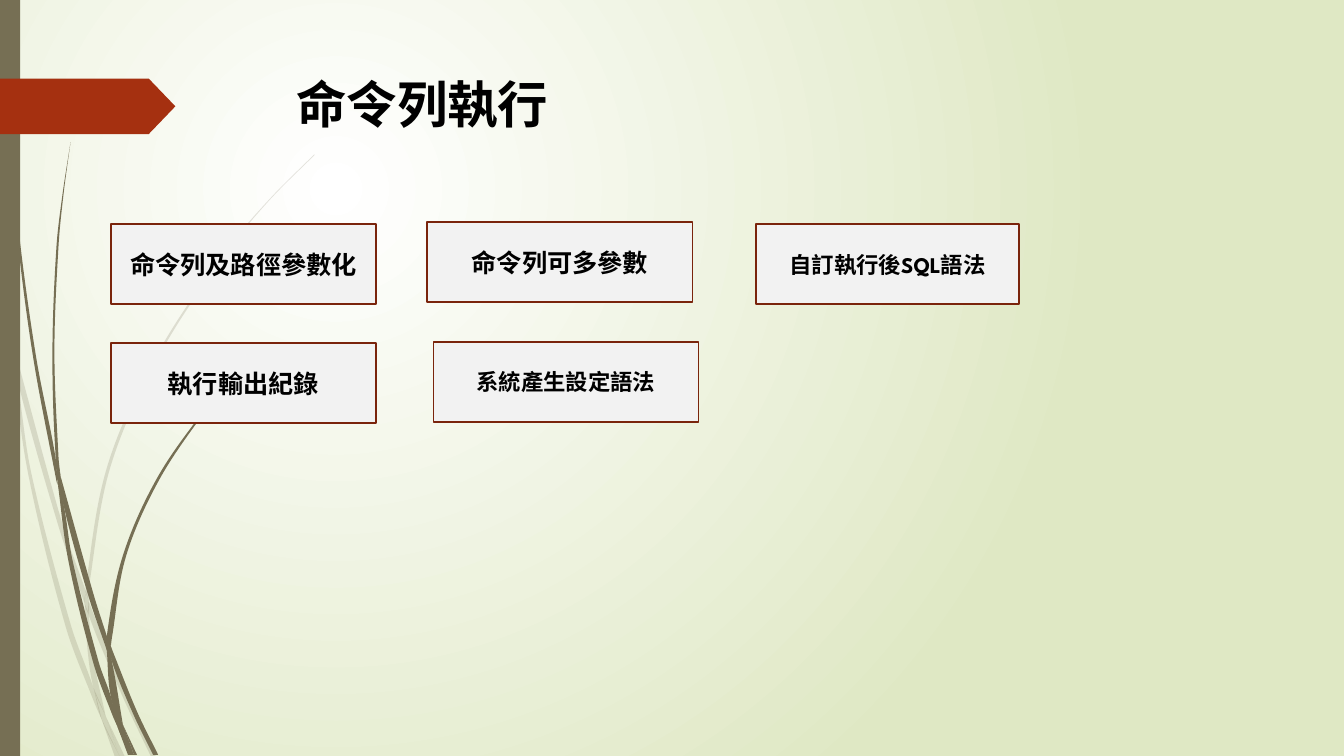
from dataclasses import dataclass
from math import dist
from pptx import Presentation
from pptx.dml.color import RGBColor
from pptx.enum.shapes import MSO_SHAPE
from pptx.enum.text import MSO_ANCHOR, MSO_AUTO_SIZE, PP_ALIGN
from pptx.oxml import parse_xml
from pptx.oxml.ns import nsdecls, qn
from pptx.shapes.autoshape import Shape
from pptx.slide import Slide
from pptx.text.text import TextFrame
from pptx.util import Emu, Inches, Pt

Point = tuple[float, float]
Blade = tuple[list[Point], list[Point]]
COLS, ROWS = 40 / 3, 7.5
CELL = Inches(1)


@dataclass(frozen=True)
class Theme:
    """Colours, font and type sizes of the slide."""
    ink: str = "000000"
    glow: str = "FFFFFF"
    meadow: str = "DFE8C4"
    stem: str = "766F54"
    rust: str = "A53010"
    card: str = "F2F2F2"
    border: str = "7A240C"
    font: str = "League Spartan"
    title: float = 36
    large: float = 18
    small: float = 16


@dataclass(frozen=True)
class Card:
    """A labelled box placed in grid columns and rows."""
    text: str
    col: float
    row: float
    size: float
    width: float = 2.63
    height: float = 0.8


THEME = Theme()
CARDS = [
    Card("命令列及路徑參數化", 1.1, 2.22, THEME.large),
    Card("執行輸出紀錄", 1.1, 3.4, THEME.large),
    Card("命令列可多參數", 4.24, 2.2, THEME.large),
    Card("系統產生設定語法", 4.3, 3.39, THEME.small),
    Card("自訂執行後SQL語法", 7.5, 2.22, THEME.small, width=2.61),
]
PALE_BLADES: list[Blade] = [
    ([(0, 2.99), (0.1, 3.44), (0.11, 3.5)], [(0, 2.82), (0.09, 3.22), (0.11, 3.5)]),
    ([(0.14, 3.45), (0.17, 3.76), (0.58, 5.22), (0.84, 5.99)],
     [(0.14, 3.45), (0.62, 5.2), (0.85, 5.86)]),
    ([(0.88, 5.96), (0.88, 6.1), (1.23, 6.94), (1.5, 7.51)],
     [(0.88, 5.96), (0.92, 6.07), (1.27, 6.92), (1.55, 7.51)]),
    ([(1.05, 7.11), (1.19, 7.51)], [(1.05, 7.11), (1.24, 7.51)]),
    ([(0.11, 3.5), (0.28, 4.7), (0.65, 6.21), (0.92, 6.93), (1.01, 7.14)],
     [(0.11, 3.5), (0.17, 3.76), (0.31, 4.69), (0.7, 6.19), (0.93, 6.83), (1.01, 7.14)]),
    ([(0.84, 5.99), (0.87, 6.46), (0.93, 6.83), (1.05, 7.11)],
     [(0.84, 5.99), (0.88, 6.1), (0.91, 6.46), (1.05, 7.11)]),
    ([(3.12, 1.53), (2.68, 1.97), (2.28, 2.44), (1.58, 3.48), (1.07, 4.61), (0.85, 5.84), (0.88, 5.96)],
     [(3.12, 1.54), (2.68, 1.98), (2.29, 2.45), (1.6, 3.49), (1.1, 4.62), (0.88, 5.84), (0.88, 5.96)]),
    ([(1.01, 7.14), (1.14, 7.51)], [(1.01, 7.14), (1.19, 7.51)]),
    ([(0.85, 5.86), (0.84, 5.99), (0.88, 6.1)], [(0.85, 5.86), (0.88, 5.96), (0.88, 6.1)]),
    ([(0.93, 6.83), (1.01, 7.14), (1.19, 7.51)], [(0.93, 6.83), (1.05, 7.11), (1.19, 7.51)]),
]
DARK_BLADES: list[Blade] = [
    ([(0.03, 0), (0.07, 1.1), (0.17, 2.33), (0.33, 3.55), (0.56, 4.77), (0.57, 4.81)],
     [(0.04, 0), (0.08, 1.09), (0.19, 2.32), (0.36, 3.55), (0.55, 4.53), (0.57, 4.81)]),
    ([(0.6, 4.72), (0.64, 5.05), (0.88, 5.92), (1.06, 6.45)],
     [(0.6, 4.72), (0.93, 5.9), (1.06, 6.31)]),
    ([(1.1, 6.41), (1.11, 6.56), (1.32, 7.08), (1.52, 7.49)],
     [(1.1, 6.41), (1.13, 6.49), (1.36, 7.06), (1.57, 7.49)]),
    ([(0.57, 4.77), (0.68, 5.57), (0.93, 6.59), (1.11, 7.08), (1.17, 7.22)],
     [(0.57, 4.77), (0.64, 5.05), (0.72, 5.56), (0.98, 6.57), (1.1, 6.91), (1.17, 7.22)]),
    ([(0.7, 1.41), (0.62, 1.93), (0.56, 2.45), (0.52, 3.49), (0.55, 4.49), (0.6, 4.72)],
     [(0.7, 1.41), (0.63, 1.93), (0.58, 2.45), (0.54, 3.49), (0.58, 4.53), (0.6, 4.72)]),
    ([(1.22, 7.19), (1.33, 7.49)], [(1.22, 7.19), (1.36, 7.49)]),
    ([(0.55, 4.49), (0.57, 4.77), (0.64, 5.05)], [(0.55, 4.49), (0.6, 4.72), (0.64, 5.05)]),
    ([(2.6, 3.44), (2.31, 3.73), (2.04, 4.05), (1.56, 4.74), (1.22, 5.51), (1.06, 6.31), (1.1, 6.41)],
     [(2.61, 3.44), (2.31, 3.74), (2.05, 4.06), (1.58, 4.76), (1.25, 5.52), (1.11, 6.33), (1.1, 6.41)]),
    ([(1.17, 7.22), (1.27, 7.49)], [(1.17, 7.22), (1.31, 7.49)]),
    ([(1.06, 6.45), (1.1, 6.91), (1.22, 7.19)], [(1.06, 6.45), (1.11, 6.56), (1.22, 7.19)]),
    ([(1.06, 6.31), (1.06, 6.45), (1.11, 6.56)], [(1.06, 6.31), (1.1, 6.41), (1.11, 6.56)]),
    ([(1.1, 6.91), (1.17, 7.22), (1.3, 7.49)], [(1.1, 6.91), (1.22, 7.19), (1.33, 7.49)]),
]


def grid(cells: float) -> Emu:
    """Turn grid cells into a length."""
    return Emu(round(cells * CELL))


def toward(start: Point, a: Point, b: Point, length: float) -> Point:
    """Step from a start point along the direction from a to b."""
    step = length / (dist(a, b) or 1)
    return start[0] + (b[0] - a[0]) * step, start[1] + (b[1] - a[1]) * step


def curve(edge: list[Point]) -> list[Point]:
    """Give two handles and an end point for each smooth segment of an edge."""
    padded = [edge[0], *edge, edge[-1]]
    points = []
    for a, b, c, d in zip(padded, padded[1:], padded[2:], padded[3:]):
        reach = dist(b, c) / 3
        points += [toward(b, a, c, reach), toward(c, d, b, reach), c]
    return points


def paint(sp: Shape, color: str) -> None:
    """Give a shape a flat fill with no line or shadow."""
    sp.shadow.inherit = False
    sp.fill.solid()
    sp.fill.fore_color.rgb = RGBColor.from_string(color)
    sp.line.fill.background()


def add_block(s: Slide, kind: MSO_SHAPE, col: float, row: float,
              width: float, height: float, color: str) -> Shape:
    """Add a filled preset shape on the grid."""
    sp = s.shapes.add_shape(kind, grid(col), grid(row), grid(width), grid(height))
    paint(sp, color)
    return sp


def set_text(tf: TextFrame, text: str, size: float, align: PP_ALIGN, anchor: MSO_ANCHOR) -> None:
    """Write one bold paragraph."""
    tf.text = text
    tf.word_wrap = True
    tf.auto_size = MSO_AUTO_SIZE.NONE
    tf.vertical_anchor = anchor
    p = tf.paragraphs[0]
    p.alignment = align
    for r in p.runs:
        r.font.name = THEME.font
        r.font.size = Pt(size)
        r.font.bold = True
        r.font.color.rgb = RGBColor.from_string(THEME.ink)


def add_background(s: Slide) -> None:
    """Fill the background with a glow from the upper left."""
    fill = s.background.fill
    fill.gradient()
    for stop, color in zip(fill.gradient_stops, (THEME.glow, THEME.meadow)):
        stop.color.rgb = RGBColor.from_string(color)
    lin = next(s.element.iter(qn("a:lin")))
    lin.getparent().replace(lin, parse_xml(
        f'<a:path {nsdecls("a")} path="circle">'
        '<a:fillToRect l="50000" t="50000" r="100000" b="100000"/></a:path>'))


def add_blade(s: Slide, blade: Blade, alpha: int) -> None:
    """Draw a grass blade between its two curved edges."""
    left, right = blade
    outline = [left[0], *curve(left), *curve([left[-1], right[-1]]), *curve(right[::-1])]
    points = [(grid(x), grid(y)) for x, y in outline]
    builder = s.shapes.build_freeform(*points[0])
    builder.add_line_segments(points[1:], close=True)
    sp = builder.convert_to_shape()
    lines = list(sp.element.iter(qn("a:lnTo")))
    for group in zip(lines[::3], lines[1::3], lines[2::3]):
        bend = parse_xml(f'<a:cubicBezTo {nsdecls("a")}/>')
        group[0].addprevious(bend)
        for line in group:
            bend.append(line[0])
            line.getparent().remove(line)
    paint(sp, THEME.stem)
    if alpha < 100:
        color = next(sp.element.iter(qn("a:srgbClr")))
        color.append(parse_xml(f'<a:alpha {nsdecls("a")} val="{alpha * 1000}"/>'))


def main() -> None:
    """Build and save the slide."""
    prs = Presentation()
    prs.slide_width, prs.slide_height = grid(COLS), grid(ROWS)
    s = prs.slides.add_slide(prs.slide_layouts.get_by_name("Title Only"))
    add_background(s)
    for blades, alpha in ((PALE_BLADES, 20), (DARK_BLADES, 100)):
        for blade in blades:
            add_blade(s, blade, alpha)
    add_block(s, MSO_SHAPE.RECTANGLE, 0, 0, 0.2, ROWS, THEME.stem)
    add_block(s, MSO_SHAPE.PENTAGON, 0, 0.78, 1.74, 0.55, THEME.rust).adjustments[0] = 0.48
    title = s.shapes.title
    title.left, title.top, title.width, title.height = map(grid, (2.84, 0.68, 9.75, 1.4))
    set_text(title.text_frame, "命令列執行", THEME.title, PP_ALIGN.LEFT, MSO_ANCHOR.TOP)
    for card in CARDS:
        sp = add_block(s, MSO_SHAPE.RECTANGLE, card.col, card.row, card.width, card.height, THEME.card)
        sp.line.color.rgb = RGBColor.from_string(THEME.border)
        sp.line.width = Pt(1.25)
        set_text(sp.text_frame, card.text, card.size, PP_ALIGN.CENTER, MSO_ANCHOR.MIDDLE)
    prs.save("out.pptx")


if __name__ == "__main__":
    main()
